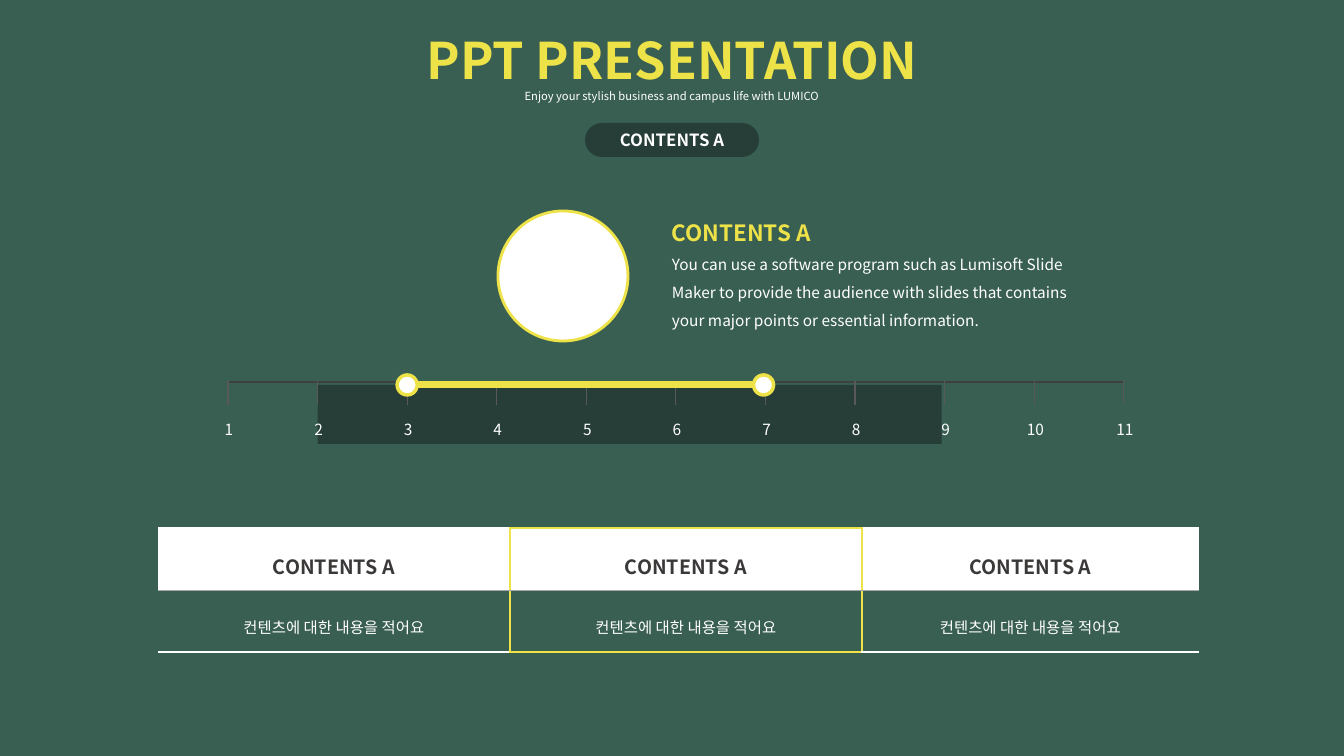
import pptx
import pptx.dml.color
import pptx.enum.shapes
import pptx.enum.text
import pptx.oxml
import pptx.oxml.ns
import pptx.util
from lxml import etree

SCALE = 12192000 / 1344
FONT = "Noto Sans CJK KR"
GREEN, DARK, YELLOW, WHITE = "395F52", "273E38", "EEE249", "FFFFFF"
INK, GRAY, TICK, AXIS = "3B3838", "A6A6A6", "595959", "404040"
SHAPE = pptx.enum.shapes.MSO_SHAPE
ALIGN = pptx.enum.text.PP_ALIGN
MIDDLE = pptx.enum.text.MSO_ANCHOR.MIDDLE


def px(*lengths):
    return [pptx.util.Emu(round(n * SCALE)) for n in lengths]


def paint(target, color):
    target.rgb = pptx.dml.color.RGBColor.from_string(color)


def add(parent, tag, **attrs):
    node = etree.SubElement(parent, pptx.oxml.ns.qn(tag))
    for name, value in attrs.items():
        node.set(name, str(value))
    return node


def write(frame, text, size=11, color=WHITE, bold=False, align=ALIGN.CENTER, space=None):
    """Fill the first paragraph if it is empty, else add one."""
    para = frame.paragraphs[-1]
    if para.runs:
        para = frame.add_paragraph()
    para.alignment = align
    if space:
        para.line_spacing = space
    run = para.add_run()
    run.text = text
    font = run.font
    font.name, font.size, font.bold = FONT, pptx.util.Pt(size), bold
    paint(font.color, color)
    add(font._element, "a:ea", typeface=FONT)


def label(shapes, box, wrap=True):
    frame = shapes.add_textbox(*px(*box)).text_frame
    frame.word_wrap = wrap
    return frame


def shape(shapes, kind, box, fill, line=None, width=0):
    item = shapes.add_shape(kind, *px(*box))
    item.shadow.inherit = False
    item.fill.solid()
    paint(item.fill.fore_color, fill)
    if line:
        paint(item.line.color, line)
        item.line.width = pptx.util.Pt(width)
    else:
        item.line.fill.background()
    return item


def grid(shapes, box, cols, rows):
    table = shapes.add_table(len(rows), len(cols), *px(*box)).table
    table.first_row = table.horz_banding = False
    for col, width in zip(table.columns, px(*cols)):
        col.width = width
    for row, height in zip(table.rows, px(*rows)):
        row.height = height
    return table


def edge(cell, **sides):
    """Draw the sides given as (color, points) and hide the others."""
    props = cell._tc.get_or_add_tcPr()
    for spot, side in enumerate("LRTB"):
        color, width = sides.get(side) or (None, 0)
        line = add(props, "a:ln" + side, w=int(width * 12700))
        if color:
            add(add(line, "a:solidFill"), "a:srgbClr", val=color)
        else:
            add(line, "a:noFill")
        props.insert(spot, line)


def header(shapes, box):
    x, y, w, h = box
    frame = label(shapes, (x, y, w, 85))
    write(frame, "PPT PRESENTATION", size=36, color=YELLOW, bold=True)
    write(frame, "Enjoy your stylish business and campus life with LUMICO", size=8)
    pill = shape(shapes, SHAPE.ROUNDED_RECTANGLE,
                 (x + w / 2 - 87, y + h - 34, 174, 34), DARK)
    pill.adjustments[0] = 0.5
    pill.text_frame.vertical_anchor = MIDDLE
    write(pill.text_frame, "CONTENTS A", size=12, bold=True)


def intro(shapes, box):
    x, y, w, h = box
    shape(shapes, SHAPE.OVAL, (x, y + 10, 130, 130), WHITE, YELLOW, 2)
    frame = label(shapes, (x + 164, y, w - 164, h))
    write(frame, "CONTENTS A", size=16, color=YELLOW, bold=True,
          align=ALIGN.LEFT, space=1.5)
    write(frame, "You can use a software program such as Lumisoft Slide "
          "Maker to provide the audience with slides that contains "
          "your major points or essential information.",
          align=ALIGN.LEFT, space=1.5)


def scale(shapes, box, count=10):
    x, y, w, h = box
    step = w / count
    shape(shapes, SHAPE.RECTANGLE, (x + step, y + 3, 624, h - 3), DARK)
    table = grid(shapes, (x, y, w, 23), [step] * count, [23])
    for cell in table.iter_cells():
        cell.fill.background()
        cell.margin_top = cell.margin_bottom = 0
        add(cell.text_frame.paragraphs[0]._p, "a:endParaRPr", sz=400)
        edge(cell, L=(TICK, 1), R=(TICK, 1), T=(AXIS, 2.25))
    marks = shapes.add_group_shape().shapes
    for i in range(count + 1):
        write(label(marks, (x + i * step - 19, y + 33, 40, 30), wrap=False), str(i + 1))
    slider(shapes.add_group_shape().shapes, x + 2 * step, x + 6 * step - 2, y + 3)


def slider(shapes, start, end, y):
    bar = shapes.add_connector(pptx.enum.shapes.MSO_CONNECTOR.STRAIGHT,
                               *px(start, y, end, y))
    paint(bar.line.color, YELLOW)
    bar.line.width = pptx.util.Pt(5)
    add(bar._element.spPr, "a:effectLst")
    for x in (start, end):
        shape(shapes, SHAPE.OVAL, (x - 10, y - 10, 20, 20), WHITE, YELLOW, 2.5)


def board(shapes, box):
    x, y, w, h = box
    table = grid(shapes, box, [352, 352, w - 704], [h / 2] * 2)
    frame, rule = (YELLOW, 2.25), (GRAY, 0.75)
    for col in range(3):
        main = col == 1
        left = frame if col > 0 else None
        right = frame if col < 2 else None
        head, body = table.cell(0, col), table.cell(1, col)
        head.vertical_anchor = body.vertical_anchor = MIDDLE
        head.fill.solid()
        paint(head.fill.fore_color, WHITE)
        body.fill.background()
        write(head.text_frame, "CONTENTS A", size=14, color=INK, bold=True, space=1.5)
        write(body.text_frame, "컨텐츠에 대한 내용을 적어요", space=1.5)
        edge(head, L=left, R=right, T=frame if main else (WHITE, 2.25), B=rule)
        edge(body, L=left, R=right, T=rule, B=frame if main else (WHITE, 1))


def main():
    deck = pptx.Presentation()
    deck.slide_width, deck.slide_height = px(1344, 756)
    slide = deck.slides.add_slide(deck.slide_layouts[6])
    slide.background.fill.solid()
    paint(slide.background.fill.fore_color, GREEN)
    header(slide.shapes, (336, 24, 672, 133))
    intro(slide.shapes, (498, 201, 610, 135))
    scale(slide.shapes, (228, 382, 896, 62))
    board(slide.shapes, (158, 528, 1041, 124))
    deck.save("out.pptx")


if __name__ == "__main__":
    main()
